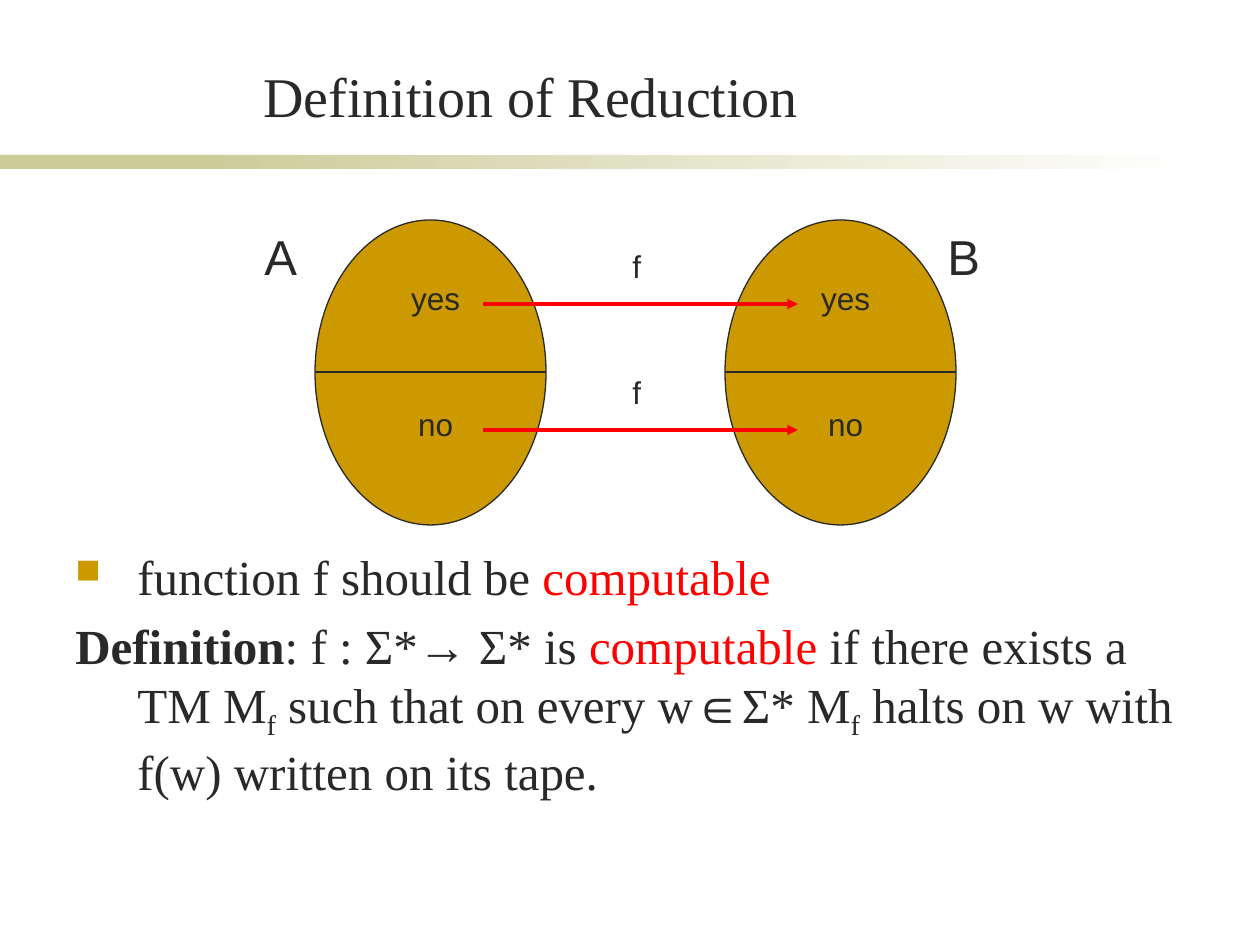
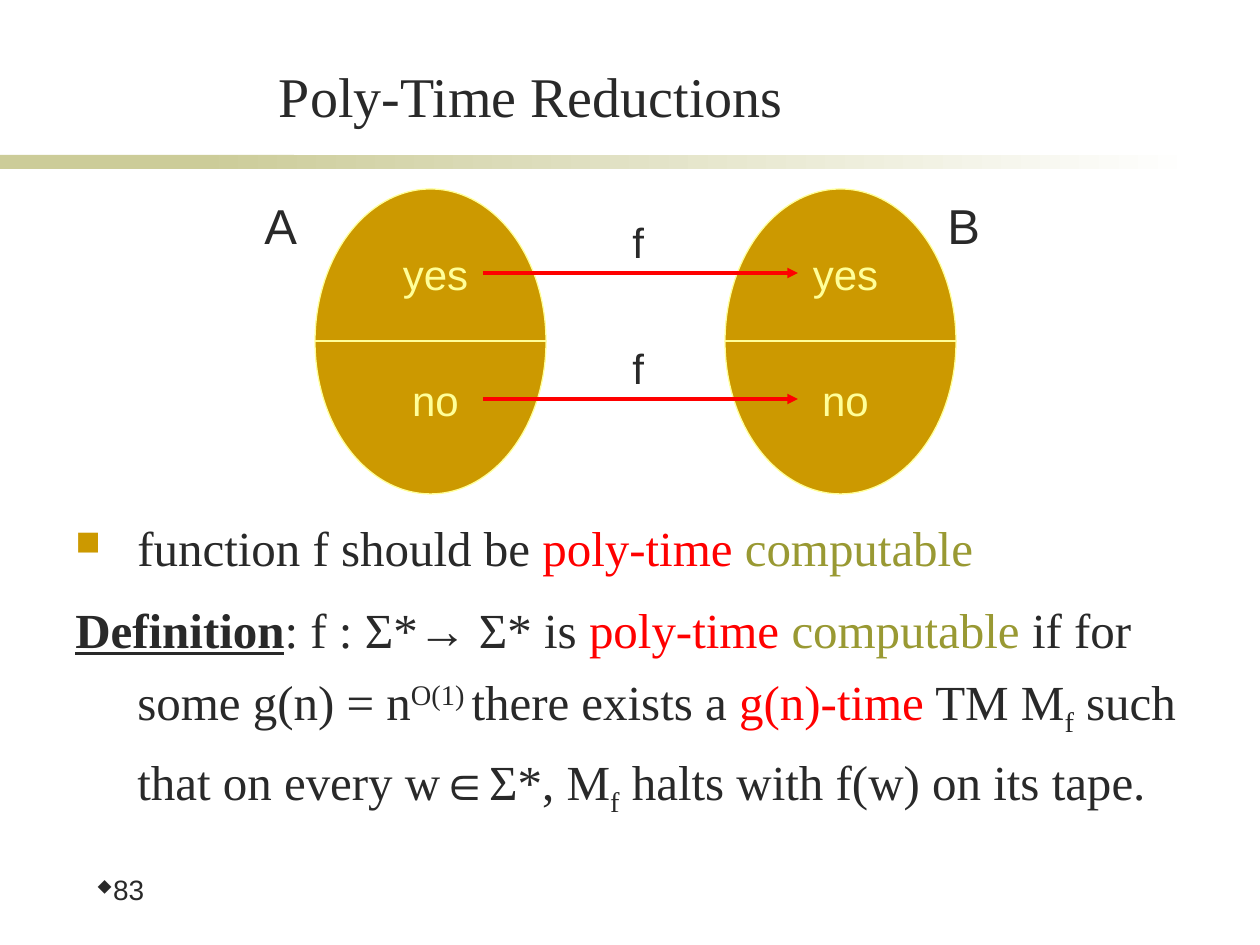
"""Build two slides that define reductions and poly-time reductions."""
import lxml.etree
import pptx
import pptx.dml.color
import pptx.enum.shapes
import pptx.enum.text
import pptx.oxml.ns
import pptx.util
from dataclasses import dataclass

PX = 914400 / 126


@dataclass(frozen=True)
class Theme:
    ink: str = "292929"
    gold: str = "CC9900"
    red: str = "FF0000"
    olive: str = "999933"
    cream: str = "FFFF99"
    sand: str = "CCCC99"
    white: str = "FFFFFF"
    serif: str = "Times New Roman"
    sans: str = "Arial"
    bullets: str = "Wingdings"
    title_size: int = 32
    body_size: int = 28
    set_size: int = 28
    page_size: int = 16


theme = Theme()
qn = pptx.oxml.ns.qn
rgb = pptx.dml.color.RGBColor.from_string
ALIGN = pptx.enum.text.PP_ALIGN
ANCHOR = pptx.enum.text.MSO_ANCHOR
SHAPE = pptx.enum.shapes.MSO_SHAPE
STRAIGHT = pptx.enum.shapes.MSO_CONNECTOR.STRAIGHT


def emu(*lengths):
    return [round(length * PX) for length in lengths]


def write(frame, paragraph, runs, font, frame_format=None, paragraph_format=None):
    for name, value in {"word_wrap": True, **(frame_format or {})}.items():
        setattr(frame, name, value)
    for name, value in (paragraph_format or {}).items():
        setattr(paragraph, name, value)
    for words, color, *extra in runs:
        run = paragraph.add_run()
        run.text = words
        run.font.color.rgb = rgb(color)
        look = {**font, **(extra[0] if extra else {})}
        baseline = look.pop("baseline", None)
        for name, value in look.items():
            setattr(run.font, name, value)
        if baseline:
            run._r.get_or_add_rPr().set("baseline", str(baseline * 1000))


ink, red, olive = theme.ink, theme.red, theme.olive
lowered = {"baseline": -25}
raised = {"baseline": 30}
lessons = [
    {
        "title": "Definition of Reduction",
        "diagram_top": 220, "label_size": 18,
        "outline": theme.ink, "answer_color": theme.ink,
        "body": (63, 540, 1126, 295), "line_spacing": 1.0, "page": None,
        "claim": [("function f should be ", ink), ("computable", red)],
        "definition": [
            ("Definition", ink, {"bold": True}),
            (": f : Σ*→ Σ* is ", ink),
            ("computable", red),
            (" if there exists a TM M", ink),
            ("f", ink, lowered),
            (" such that on every w∈Σ* M", ink),
            ("f", ink, lowered),
            (" halts on w with f(w) written on its tape.", ink),
        ],
    },
    {
        "title": "Poly-Time Reductions",
        "diagram_top": 189, "label_size": 24,
        "outline": theme.cream, "answer_color": theme.cream,
        "body": (63, 500, 1134, 372), "line_spacing": 1.2, "page": "83",
        "claim": [("function f should be ", ink), ("poly-time ", red), ("computable", olive)],
        "definition": [
            ("Definition", ink, {"bold": True, "underline": True}),
            (": f : Σ*→ Σ* is ", ink),
            ("poly-time ", red),
            ("computable ", olive),
            ("if for some g(n) = n", ink),
            ("O(1) ", ink, raised),
            ("there exists a ", ink),
            ("g(n)-time", red),
            (" TM M", ink),
            ("f", ink, lowered),
            (" such that on every w∈Σ*, M", ink),
            ("f", ink, lowered),
            (" halts with f(w) on its tape.", ink),
        ],
    },
]

deck = pptx.Presentation()
deck.slide_width, deck.slide_height = emu(1260, 945)

for lesson in lessons:
    slide = deck.slides.add_slide(deck.slide_layouts[5])
    shapes = slide.shapes
    top = lesson["diagram_top"]

    for left, width, fades in ((0, 294, False), (199, 998, True)):
        band = shapes.add_shape(SHAPE.RECTANGLE, *emu(left, 155, width, 14))
        band.shadow.inherit = False
        band.line.fill.background()
        if fades:
            band.fill.gradient()
            band.fill.gradient_angle = 0
            for stop, color, position in zip(band.fill.gradient_stops, (theme.sand, theme.white), (0, 1)):
                stop.color.rgb = rgb(color)
                stop.position = position
        else:
            band.fill.solid()
            band.fill.fore_color.rgb = rgb(theme.sand)

    heading = shapes.title
    heading.left, heading.top, heading.width, heading.height = emu(144, 55, 774, 80)
    write(heading.text_frame, heading.text_frame.paragraphs[0], [(lesson["title"], ink)],
          {"name": theme.serif, "size": pptx.util.Pt(theme.title_size)},
          {"vertical_anchor": ANCHOR.BOTTOM, "auto_size": pptx.enum.text.MSO_AUTO_SIZE.NONE},
          {"alignment": ALIGN.CENTER})

    explanation = shapes.add_textbox(*emu(*lesson["body"])).text_frame
    claim, definition = explanation.paragraphs[0], explanation.add_paragraph()
    bulleted = [(claim, theme.gold, 70, "n")]
    if lesson["page"]:
        page_frame = shapes.add_textbox(*emu(84, 866, 178, 63)).text_frame
        bulleted.append((page_frame.paragraphs[0], ink, 60, "u"))
    for paragraph, color, percent, symbol in bulleted:
        properties = paragraph._p.get_or_add_pPr()
        bullet_color = lxml.etree.SubElement(properties, qn("a:buClr"))
        lxml.etree.SubElement(bullet_color, qn("a:srgbClr")).set("val", color)
        lxml.etree.SubElement(properties, qn("a:buSzPct")).set("val", str(percent * 1000))
        bullet_font = lxml.etree.SubElement(properties, qn("a:buFont"))
        for name, value in {"typeface": theme.bullets, "pitchFamily": "2", "charset": "2"}.items():
            bullet_font.set(name, value)
        lxml.etree.SubElement(properties, qn("a:buChar")).set("char", symbol)

    for paragraph, part, gap in ((claim, "claim", 0), (definition, "definition", 6)):
        hanging = paragraph._p.get_or_add_pPr()
        indent, = emu(62)
        hanging.set("marL", str(indent))
        hanging.set("indent", str(-indent))
        write(explanation, paragraph, lesson[part],
              {"name": theme.serif, "size": pptx.util.Pt(theme.body_size)},
              {"margin_right": 0},
              {"space_before": pptx.util.Pt(gap), "line_spacing": lesson["line_spacing"]})
    if lesson["page"]:
        write(page_frame, page_frame.paragraphs[0], [(lesson["page"], ink)],
              {"name": theme.sans, "size": pptx.util.Pt(theme.page_size)},
              {"margin_top": emu(10)[0]}, {"line_spacing": 0.9})

    segments = []
    labels = [("A", 252, 0, 73, 72, theme.set_size, ink, ALIGN.LEFT),
              ("B", 935, 0, 73, 72, theme.set_size, ink, ALIGN.LEFT)]
    for left in (315, 725):
        language = shapes.add_shape(SHAPE.OVAL, *emu(left, top, 231, 305))
        language.shadow.inherit = False
        language.fill.solid()
        language.fill.fore_color.rgb = rgb(theme.gold)
        language.line.color.rgb = rgb(lesson["outline"])
        language.line.width = pptx.util.Pt(0.75)
        segments.append((left, left + 231, 152, lesson["outline"], 0.75, False))
        for row, answer in enumerate(("yes", "no")):
            labels.append((answer, left + 73, 53 + 126 * row, 95, 63,
                           lesson["label_size"], lesson["answer_color"], ALIGN.CENTER))
    for row in range(2):
        segments.append((483, 798, 84 + 126 * row, red, 2, True))
        labels.append(("f", 620, 21 + 126 * row, 73, 63, lesson["label_size"], ink, ALIGN.LEFT))

    for start, end, drop, color, weight, points in segments:
        segment = shapes.add_connector(STRAIGHT, *emu(start, top + drop, end, top + drop))
        segment.line.color.rgb = rgb(color)
        segment.line.width = pptx.util.Pt(weight)
        if points:
            lxml.etree.SubElement(segment.line._get_or_add_ln(), qn("a:tailEnd")).set("type", "triangle")
        lxml.etree.SubElement(segment._element.spPr, qn("a:effectLst"))

    for words, left, drop, width, height, size, color, alignment in labels:
        label = shapes.add_textbox(*emu(left, top + drop, width, height)).text_frame
        write(label, label.paragraphs[0], [(words, color)],
              {"name": theme.sans, "size": pptx.util.Pt(size)},
              paragraph_format={"alignment": alignment})

deck.save("out.pptx")
